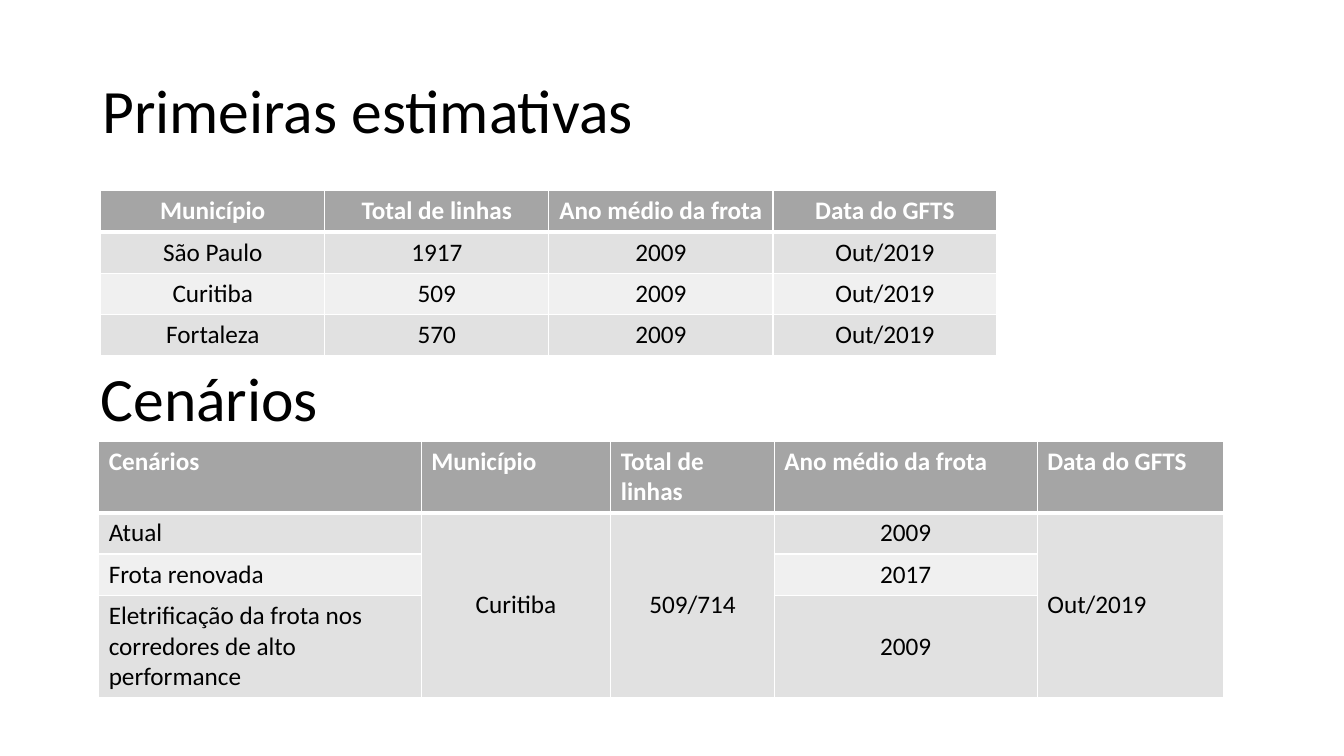
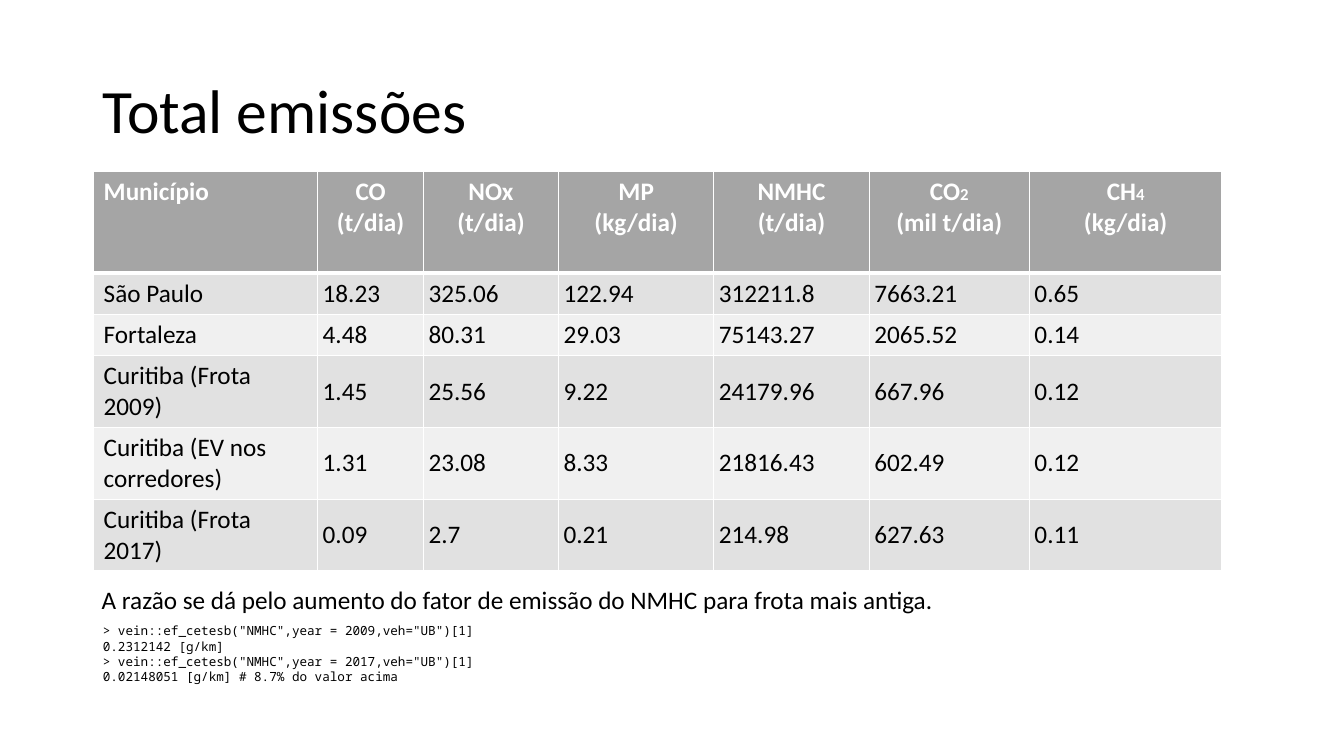
from lxml.etree import SubElement
from pptx import Presentation
from pptx.dml.color import RGBColor
from pptx.enum.shapes import MSO_SHAPE
from pptx.enum.text import MSO_ANCHOR as ANCHOR, MSO_AUTO_SIZE as AUTO, PP_ALIGN as ALIGN
from pptx.oxml.ns import qn
from pptx.util import Inches, Pt

COLS, ROWS = 64, 36          # slide grid
LINE, LINE2, LINE3 = 1.97, 3.41, 4.85   # table row heights for 1, 2 and 3 lines
ALIGNS = {"l": ALIGN.LEFT, "c": ALIGN.CENTER}


def rgb(color):
    return RGBColor.from_string(color)


class Deck:
    FONT, MONO = "Calibri", "Noto Sans Mono"
    INK, PAPER, HEAD = "000000", "FFFFFF", "A5A5A5"
    BANDS = ("F0F0F0", "E1E1E1")
    TITLE, BODY, SMALL, CODE = 44, 18, 12, 9

    def __init__(self):
        self.prs = Presentation()
        self.prs.slide_width, self.prs.slide_height = Inches(13.33), Inches(7.5)
        self.s = None

    def x(self, cols):
        return round(self.prs.slide_width * cols / COLS)

    def y(self, rows):
        return round(self.prs.slide_height * rows / ROWS)

    def box(self, left, top, width, height):
        return self.x(left), self.y(top), self.x(width), self.y(height)

    def style(self, p, size, color=INK, font=FONT, bold=False, align="l"):
        p.alignment = ALIGNS[align]
        for r in p.runs:
            r.font.name, r.font.size, r.font.bold = font, Pt(size), bold
            r.font.color.rgb = rgb(color)

    def heading(self, sp, text):
        tf = sp.text_frame
        tf.text = text
        tf.word_wrap, tf.auto_size = True, AUTO.NONE
        tf.vertical_anchor = ANCHOR.MIDDLE
        p = tf.paragraphs[0]
        p.line_spacing = 0.9
        self.style(p, self.TITLE)

    def slide(self, title):
        self.s = self.prs.slides.add_slide(self.prs.slide_layouts[5])
        sp = self.s.shapes.title
        sp.left, sp.top, sp.width, sp.height = self.box(4.4, 1.92, 55.2, 6.96)
        self.heading(sp, title)

    def subtitle(self, text, left, top):
        self.heading(self.s.shapes.add_textbox(*self.box(left, top, 55.2, 6.96)), text)

    def note(self, text, *place):
        tf = self.s.shapes.add_textbox(*self.box(*place)).text_frame
        tf.word_wrap = True
        tf.text = text
        self.style(tf.paragraphs[0], self.BODY)

    def code(self, lines, *place):
        sp = self.s.shapes.add_shape(MSO_SHAPE.RECTANGLE, *self.box(*place))
        sp.shadow.inherit = False
        sp.fill.solid()
        sp.fill.fore_color.rgb = rgb(self.PAPER)
        sp.line.fill.background()
        tf = sp.text_frame
        tf.margin_left = tf.margin_right = tf.margin_top = tf.margin_bottom = 0
        tf.word_wrap, tf.vertical_anchor = False, ANCHOR.MIDDLE
        tf.text = "\n".join(lines)
        for p in tf.paragraphs:
            self.style(p, self.CODE, font=self.MONO)

    def borders(self, cell, row):
        tcPr = cell._tc.get_or_add_tcPr()
        thick = {(0, "B"), (1, "T")}     # rule under the header
        for side in "LRTB":
            width = Pt(3 if (row, side) in thick else 1)
            ln = SubElement(tcPr, qn("a:ln" + side), w=str(width))
            fill = SubElement(ln, qn("a:solidFill"))
            SubElement(fill, qn("a:srgbClr"), val=self.PAPER)

    def cell(self, cell, text, row, align):
        self.borders(cell, row)
        cell.fill.solid()
        cell.fill.fore_color.rgb = rgb(self.BANDS[row % 2] if row else self.HEAD)
        cell.vertical_anchor = ANCHOR.MIDDLE if row else ANCHOR.TOP
        tf = cell.text_frame
        for i, line in enumerate(text.split("\n")):
            p = tf.add_paragraph() if i else tf.paragraphs[0]
            pieces = line.split("~")     # every second piece is a small index
            for piece in pieces:
                p.add_run().text = piece
            self.style(p, self.BODY, self.INK if row else self.PAPER,
                       bold=not row, align=align)
            for r in p.runs[1::2]:
                r.font.size = Pt(self.SMALL)

    def table(self, left, top, widths, heights, data, head, body, merged=(), tight=False):
        """Widths and heights in grid units; head and body give each column's alignment."""
        place = self.box(left, top, sum(widths), sum(heights))
        tbl = self.s.shapes.add_table(len(heights), len(widths), *place).table
        for col, width in zip(tbl.columns, widths):
            col.width = self.x(width)
        for row, height in zip(tbl.rows, heights):
            row.height = self.y(height)
        for i, texts in enumerate(data):
            for j, text in enumerate(texts):
                cell = tbl.cell(i, j)
                self.cell(cell, text, i, (body if i else head)[j])
                if tight and i and j:
                    cell.margin_left = cell.margin_right = Inches(0.05)
                    cell.margin_top = cell.margin_bottom = Inches(0.04)
        for j in merged:
            tbl.cell(1, j).merge(tbl.cell(len(heights) - 1, j))


def main():
    deck = Deck()

    # First estimates and scenarios
    deck.slide("Primeiras estimativas")
    deck.table(4.8, 9.07, [10.67] * 4, [LINE] * 4, [
        ("Município", "Total de linhas", "Ano médio da frota", "Data do GFTS"),
        ("São Paulo", "1917", "2009", "Out/2019"),
        ("Curitiba", "509", "2009", "Out/2019"),
        ("Fortaleza", "570", "2009", "Out/2019"),
    ], head="cccc", body="cccc")
    deck.subtitle("Cenários", 4.32, 15.65)
    deck.table(4.7, 21, [15.36, 9.03, 7.78, 12.53, 8.88], [LINE2, LINE, LINE, LINE3], [
        ("Cenários", "Município", "Total de linhas", "Ano médio da frota", "Data do GFTS"),
        ("Atual", "Curitiba", "509/714", "2009", "Out/2019"),
        ("Frota renovada", "", "", "2017", ""),
        ("Eletrificação da frota nos corredores de alto performance", "", "", "2009", ""),
    ], head="lllll", body="lcccl", merged=(1, 2, 4))

    # Total emissions
    deck.slide("Total emissões")
    deck.table(4.46, 8.16, [10.67, 5.04, 6.43, 7.4, 7.4, 7.63, 9.17],
               [LINE3, LINE, LINE, LINE2, LINE2, LINE2], [
        ("Município", "CO\n(t/dia)", "NOx\n(t/dia)", "MP\n(kg/dia)", "NMHC\n(t/dia)",
         "CO~2\n(mil t/dia)", "CH~4\n(kg/dia)"),
        ("São Paulo", "18.23", "325.06", "122.94", "312211.8", "7663.21", "0.65"),
        ("Fortaleza", "4.48", "80.31", "29.03", "75143.27", "2065.52", "0.14"),
        ("Curitiba (Frota 2009)", "1.45", "25.56", "9.22", "24179.96", "667.96", "0.12"),
        ("Curitiba (EV nos corredores)", "1.31", "23.08", "8.33", "21816.43", "602.49", "0.12"),
        ("Curitiba (Frota 2017)", "0.09", "2.7", "0.21", "214.98", "627.63", "0.11"),
    ], head="lcccccc", body="lllllll", tight=True)
    deck.code([
        '> vein::ef_cetesb("NMHC",year = 2009,veh="UB")[1]',
        "0.2312142 [g/km]",
        '> vein::ef_cetesb("NMHC",year = 2017,veh="UB")[1]',
        "0.02148051 [g/km] # 8.7% do valor acima",
    ], 4.9, 29.66, 18.1, 2.93)
    deck.note("A razão se dá pelo aumento do fator de emissão do NMHC para frota mais antiga.",
              4.37, 27.6, 41.15, 3.4)

    deck.prs.save("out.pptx")


if __name__ == "__main__":
    main()
